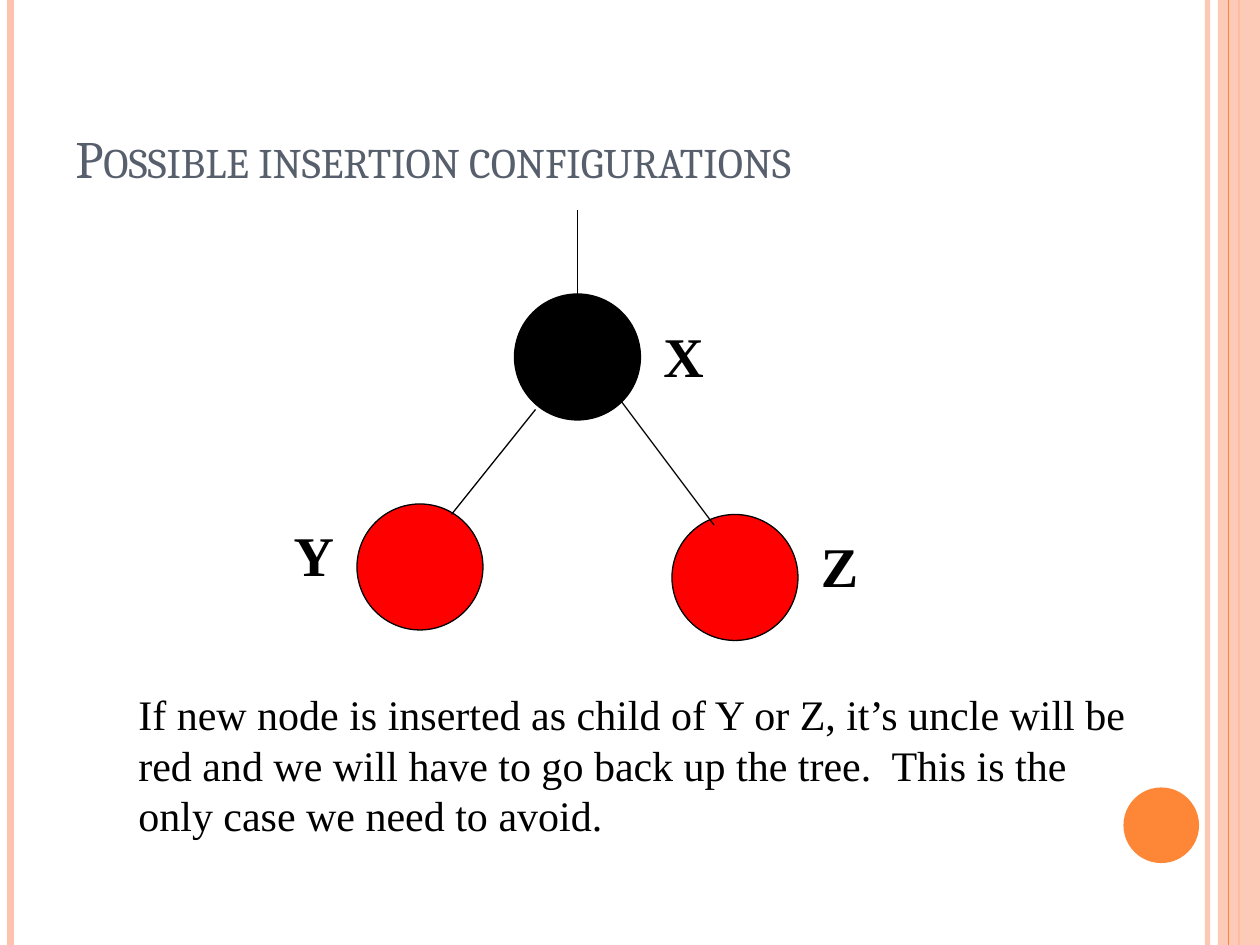
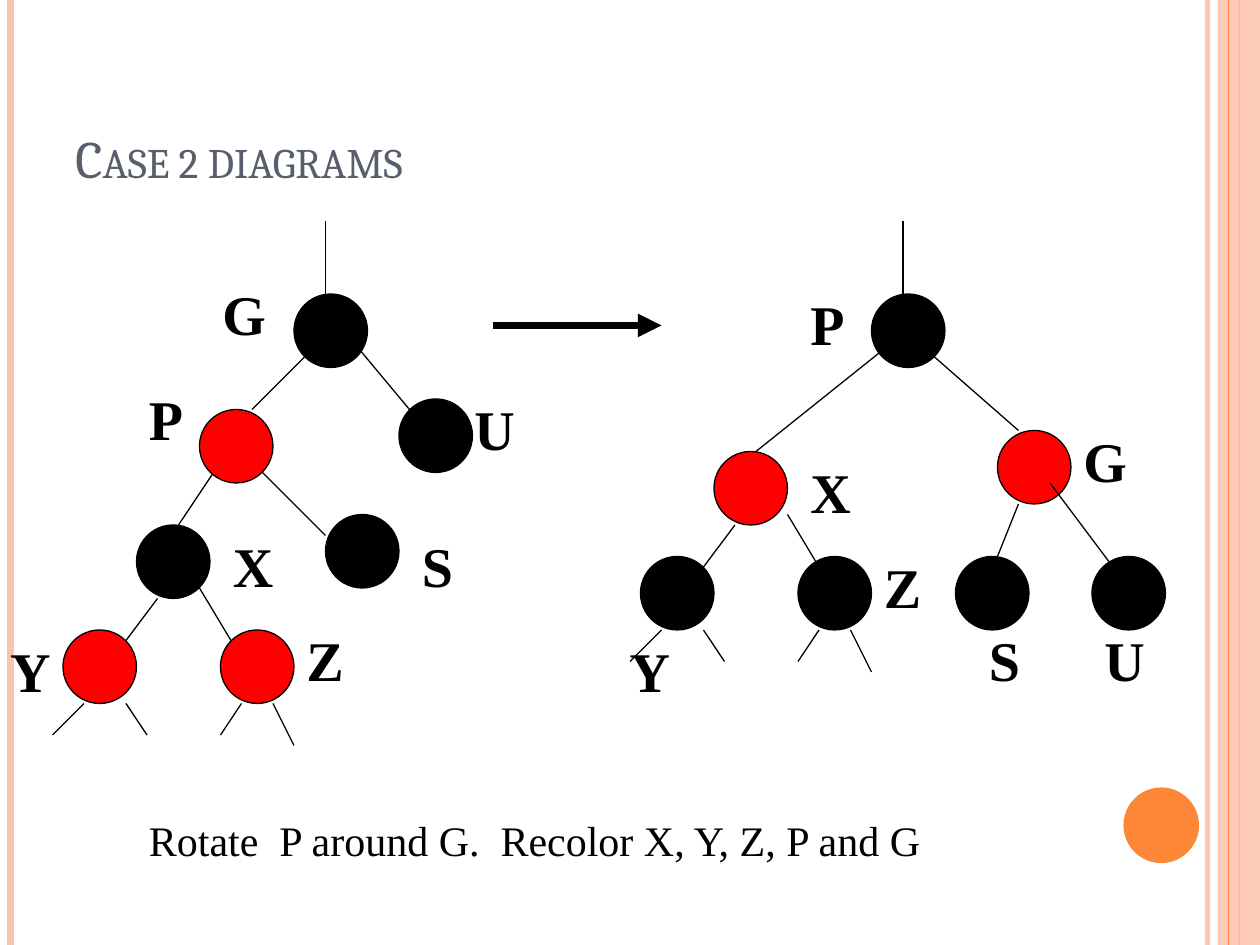
"""Build two slides on red-black tree insertion."""
from dataclasses import dataclass

from lxml import etree
from pptx import Presentation
from pptx.dml.color import RGBColor
from pptx.enum.shapes import MSO_CONNECTOR, MSO_SHAPE
from pptx.enum.text import MSO_ANCHOR, MSO_AUTO_SIZE, PP_ALIGN
from pptx.oxml.ns import qn
from pptx.util import Pt

STRAIGHT = MSO_CONNECTOR.STRAIGHT
OVAL, RECT = MSO_SHAPE.OVAL, MSO_SHAPE.RECTANGLE
TOP, BOTTOM = MSO_ANCHOR.TOP, MSO_ANCHOR.BOTTOM
FIXED, GROW = MSO_AUTO_SIZE.NONE, MSO_AUTO_SIZE.SHAPE_TO_FIT_TEXT
LEFT, RIGHT = PP_ALIGN.LEFT, PP_ALIGN.RIGHT


@dataclass(frozen=True)
class Theme:
    """Colours, fonts and sizes that the slides share."""
    ink: str = "000000"
    red: str = "FF0000"
    head: str = "575F6D"
    peach: str = "FEC3AE"
    orange: str = "FE8637"
    serif: str = "Times New Roman"
    title: str = "Cambria"
    title_size: float = 30
    label_size: float = 32
    note_size: float = 24
    thin: float = 0.75
    thick: float = 4.5


THEME = Theme()


@dataclass(frozen=True)
class Node:
    """A tree node; label and lines are measured from its top left corner."""
    name: str
    x: float
    y: float
    fill: str
    label: tuple
    lines: tuple


def paint(fill, color, alpha=100):
    """Make a fill solid, with an opacity in percent."""
    fill.solid()
    fill.fore_color.rgb = RGBColor.from_string(color)
    if alpha < 100:
        tint = fill._xPr.find(".//" + qn("a:srgbClr"))
        etree.SubElement(tint, qn("a:alpha"), val=str(alpha * 1000))


def add_line(slide, start, end, color=THEME.ink, width=THEME.thin, alpha=100, arrow=False):
    """Draw a straight line between two points."""
    line = slide.shapes.add_connector(STRAIGHT, *map(Pt, (*start, *end)))
    line.line.width = Pt(width)
    paint(line.line.fill, color, alpha)
    props = line._element.spPr
    if arrow:
        etree.SubElement(props.find(qn("a:ln")), qn("a:tailEnd"), type="triangle")
    etree.SubElement(props, qn("a:effectLst"))


def add_form(slide, kind, box, color, alpha=100, edge=None):
    """Draw a filled preset shape, with an edge if a colour is given."""
    form = slide.shapes.add_shape(kind, *map(Pt, box))
    form.shadow.inherit = False
    paint(form.fill, color, alpha)
    if edge:
        paint(form.line.fill, edge)
        form.line.width = Pt(THEME.thin)
    else:
        form.line.fill.background()


def add_text(slide, box, text, size, color=THEME.ink, face=THEME.serif, bold=False,
             align=LEFT, anchor=TOP, fit=GROW, caps=False):
    """Write one run of text in a box."""
    frame = slide.shapes.add_textbox(*map(Pt, box)).text_frame
    frame.word_wrap = True
    frame.auto_size = fit
    frame.vertical_anchor = anchor
    para = frame.paragraphs[0]
    para.alignment = align
    run = para.add_run()
    run.text = text
    font = run.font
    font.name, font.size, font.bold = face, Pt(size), bold
    font.color.rgb = RGBColor.from_string(color)
    if caps:
        run._r.get_or_add_rPr().set("cap", "small")


def add_frame(slide, box):
    """Draw the bands and the dot at the edges of the slide."""
    left, top, width, height = box
    right, base = left + width, top + height

    def add_rule(x, color, weight, alpha=100):
        """Draw one rule from top to base."""
        add_line(slide, (x, top), (x, base), color, weight, alpha)

    add_rule(right - 30, THEME.peach, 3, 93)
    add_rule(left + 6, THEME.peach, THEME.thick)
    add_rule(right - 12, THEME.orange, 1.5)
    add_form(slide, RECT, (right - 24, top, 24, height), THEME.peach, 87)
    add_rule(right - 18, THEME.orange, THEME.thin)
    add_form(slide, OVAL, (right - 78, base - 90, 43.2, 43.2), THEME.orange)


def add_tree(slide, box, size, nodes):
    """Draw nodes of one size with their labels and lines."""
    left, top = box
    for node in nodes:
        x, y = left + node.x, top + node.y
        add_form(slide, OVAL, (x, y, size, size), node.fill, edge=THEME.ink)
        for x1, y1, x2, y2 in node.lines:
            add_line(slide, (x + x1, y + y1), (x + x2, y + y2))
        dx, dy = node.label
        width = {"X": 36, "Y": 60}.get(node.name, 42)
        add_text(slide, (x + dx, y + dy, width, 45), node.name, THEME.label_size,
                 bold=True, align=RIGHT if node.name == "Y" else LEFT)


def add_page(deck, title, note, box):
    """Add a slide with its frame, title and note."""
    slide = deck.slides.add_slide(deck.slide_layouts[6])
    add_frame(slide, (0, 0, 720, 540))
    add_text(slide, (36, 21.6, 588, 90), title, THEME.title_size, THEME.head,
             THEME.title, anchor=BOTTOM, fit=FIXED, caps=True)
    add_text(slide, box, note, THEME.note_size)
    return slide


INK, RED = THEME.ink, THEME.red
Y_LINES = ((54, -18, 36, 6), (12, 42, -6, 60), (36, 42, 48, 60))
Z_STUBS = ((12, 42, 0, 60), (30, 42, 42, 66))
ROOT = ((18, 0, 18, -42),)

SMALL = (
    Node("X", 150, 48, INK, (78, 12), ((36, 0, 36, -48),)),
    Node("Y", 60, 168, RED, (-66, 6), ((102, -54, 54, 6),)),
    Node("Z", 240, 174, RED, (78, 6), ((-30, -66, 24, 6),)),
)
BEFORE = (
    Node("Y", 0, 234, RED, (-60, 0), Y_LINES),
    Node("Z", 90, 234, RED, (42, -6), ((-12, -24, 6, 6), *Z_STUBS)),
    Node("X", 42, 174, INK, (48, 0), ((24, 0, 48, -36),)),
    Node("P", 78, 108, RED, (-36, -18), ((30, 0, 60, -30),)),
    Node("G", 132, 42, INK, (-48, -12), ROOT),
    Node("U", 192, 102, INK, (36, -6), ((-24, -30, 6, 6),)),
    Node("S", 150, 168, INK, (48, 6), ((-36, -24, 0, 12),)),
)
AFTER = (
    Node("Y", 0, 192, INK, (-36, 42), Y_LINES),
    Node("Z", 90, 192, INK, (42, -6), ((-6, -24, 12, 6), *Z_STUBS)),
    Node("X", 42, 132, RED, (48, 0), ((24, 0, 114, -72),)),
    Node("P", 132, 42, INK, (-42, -6), ROOT),
    Node("G", 204, 120, RED, (42, -6), ((12, 0, -36, -42),)),
    Node("U", 258, 192, INK, (0, 36), ((-24, -42, 12, 6),)),
    Node("S", 180, 192, INK, (12, 36), ((36, -30, 24, 0),)),
)


def main():
    """Build both slides and save the deck."""
    deck = Presentation()
    deck.slide_width, deck.slide_height = Pt(720), Pt(540)

    slide = add_page(
        deck, "Possible insertion configurations",
        "If new node is inserted as child of Y or Z, it’s uncle will be red and we will "
        "have to go back up the tree.  This is the only case we need to avoid.",
        (72, 390, 582, 93.6))
    add_tree(slide, (144, 120), 72, SMALL)

    slide = add_page(deck, "Case 2 diagrams",
                     "Rotate  P around G.  Recolor X, Y, Z, P and G", (78, 462, 600, 36))
    add_tree(slide, (36, 126), 42, BEFORE)
    add_tree(slide, (366, 126), 42, AFTER)
    add_line(slide, (282, 186), (378, 186), width=THEME.thick, arrow=True)

    deck.save("out.pptx")


if __name__ == "__main__":
    main()
